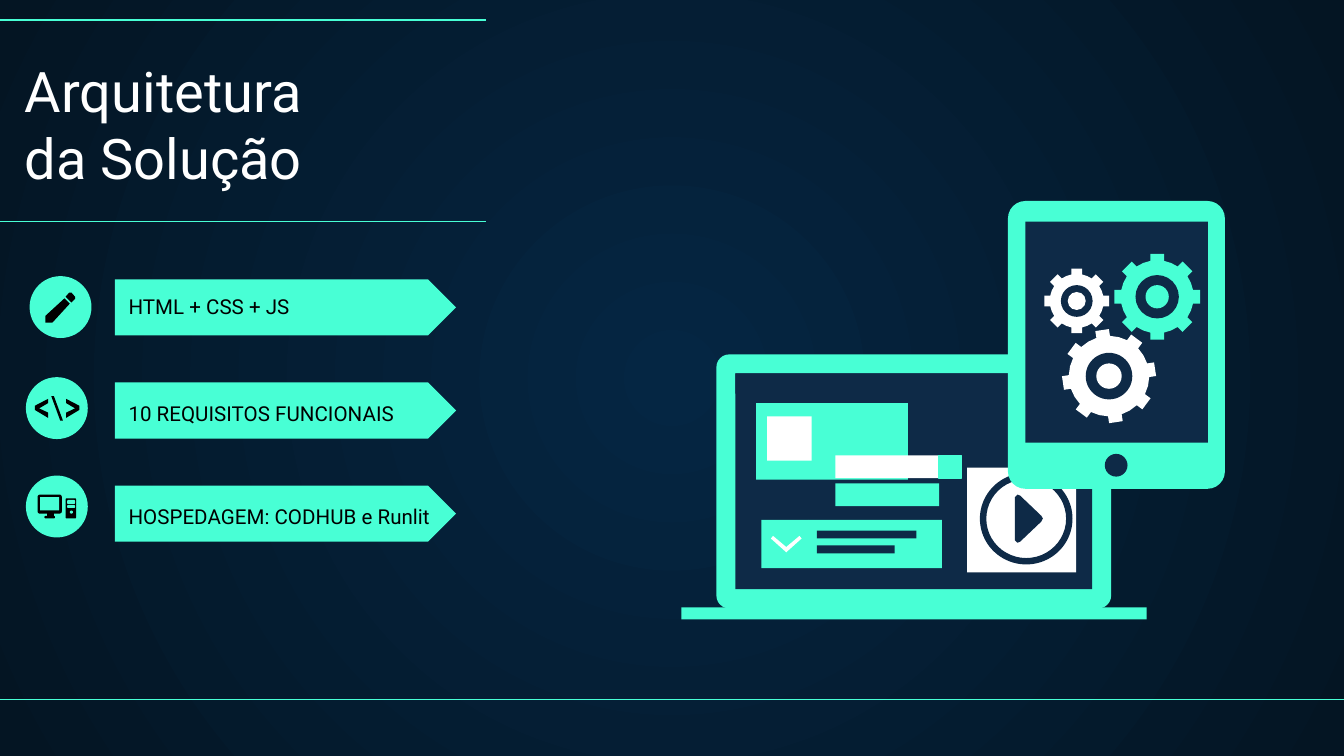
import math
from dataclasses import dataclass

import pptx
import pptx.dml.color
import pptx.enum.shapes
import pptx.enum.text
import pptx.oxml
import pptx.oxml.ns
import pptx.util
from lxml import etree

Cm = pptx.util.Cm
RGBColor = pptx.dml.color.RGBColor
SHAPE = pptx.enum.shapes.MSO_SHAPE
qn = pptx.oxml.ns.qn

MINT = RGBColor(0x48, 0xFF, 0xD5)
NAVY = RGBColor(0x0E, 0x2A, 0x47)
WHITE = RGBColor(0xFF, 0xFF, 0xFF)
BLACK = RGBColor(0x00, 0x00, 0x00)
GLOW = RGBColor(0x05, 0x26, 0x43)
NIGHT = RGBColor(0x04, 0x15, 0x23)
FONT = "Roboto"


@dataclass
class Box:
    """Position and size in centimetres."""
    left: float
    top: float
    width: float
    height: float


@dataclass
class Block:
    box: Box
    color: RGBColor
    kind: int = SHAPE.RECTANGLE
    adjustment: float | None = None


@dataclass
class Item:
    text: str
    text_box: Box
    badge: Box


@dataclass
class Gear:
    x: float
    y: float
    tip: float
    body: float
    hole: float
    hub: float
    half_tooth: float
    color: RGBColor
    turn: float = 0


def paint(shape, color: RGBColor) -> None:
    shape.shadow.inherit = False
    shape.fill.solid()
    shape.fill.fore_color.rgb = color
    shape.line.fill.background()


def add_block(slide, block: Block):
    box = block.box
    shape = slide.shapes.add_shape(
        block.kind, Cm(box.left), Cm(box.top), Cm(box.width), Cm(box.height))
    if block.adjustment is not None:
        shape.adjustments[0] = block.adjustment
    paint(shape, block.color)
    return shape


def add_disc(slide, x: float, y: float, radius: float, color: RGBColor) -> None:
    box = Box(x - radius, y - radius, 2 * radius, 2 * radius)
    add_block(slide, Block(box, color, SHAPE.OVAL))


def add_polygon(slide, points: list[tuple[float, float]], color: RGBColor) -> None:
    corners = [(Cm(x), Cm(y)) for x, y in points]
    builder = slide.shapes.build_freeform(*corners[0])
    builder.add_line_segments(corners[1:], close=True)
    paint(builder.convert_to_shape(), color)


def add_text(slide, text: str, box: Box, size: int, color: RGBColor) -> None:
    shape = slide.shapes.add_textbox(
        Cm(box.left), Cm(box.top), Cm(box.width), Cm(box.height))
    frame = shape.text_frame
    frame.word_wrap = True
    frame.vertical_anchor = pptx.enum.text.MSO_ANCHOR.BOTTOM
    frame.margin_left = frame.margin_right = Cm(0.25)
    frame.margin_top = frame.margin_bottom = Cm(0.25)
    frame.text = text
    font = frame.paragraphs[0].font
    font.name, font.size, font.color.rgb = FONT, pptx.util.Pt(size), color


def add_rule(slide, start: float, end: float, y: float) -> None:
    connector = slide.shapes.add_connector(
        pptx.enum.shapes.MSO_CONNECTOR.STRAIGHT, Cm(start), Cm(y), Cm(end), Cm(y))
    connector.line.color.rgb = MINT
    connector.line.width = pptx.util.Pt(0.75)
    etree.SubElement(connector._element.spPr, qn("a:effectLst"))


def add_gear(slide, gear: Gear, teeth: int = 8) -> None:
    step = 2 * math.pi / teeth
    foot = math.asin(gear.half_tooth / gear.body)
    corner = math.atan(gear.half_tooth / gear.tip)
    reach = math.hypot(gear.half_tooth, gear.tip)
    # Each tooth: four corners, then the middle of the arc to the next tooth
    outline = [(-foot, gear.body), (-corner, reach), (corner, reach),
               (foot, gear.body), (step / 2, gear.body)]
    points = []
    for tooth in range(teeth):
        for offset, radius in outline:
            angle = math.radians(gear.turn) + tooth * step + offset
            points.append((gear.x + radius * math.sin(angle),
                           gear.y - radius * math.cos(angle)))
    add_polygon(slide, points, gear.color)
    add_disc(slide, gear.x, gear.y, gear.hole, NAVY)
    add_disc(slide, gear.x, gear.y, gear.hub, gear.color)


def set_background(slide) -> None:
    fill = slide.background.fill
    fill.gradient()
    for stop, position, color in zip(fill.gradient_stops, (0, 1), (GLOW, NIGHT)):
        stop.position, stop.color.rgb = position, color
    gradient = slide._element.find(".//" + qn("a:gradFill"))
    radial = pptx.oxml.parse_xml(
        f'<a:path {pptx.oxml.ns.nsdecls("a")} path="circle">'
        '<a:fillToRect l="50000" t="50000" r="50000" b="50000"/></a:path>')
    gradient.replace(gradient.find(qn("a:lin")), radial)


ITEMS = [
    Item("HTML + CSS + JS", Box(2.18, 5.34, 6.17, 0.91), Box(0.56, 5.22, 1.17, 1.17)),
    Item("10 REQUISITOS FUNCIONAIS", Box(2.18, 7.24, 5.77, 1.04), Box(0.49, 7.13, 1.17, 1.17)),
    Item("HOSPEDAGEM: CODHUB e Runlit", Box(2.18, 9.16, 6.32, 1.07), Box(0.49, 8.99, 1.17, 1.17)),
]

PENCIL = [
    [(1.31, 5.53), (1.24, 5.61), (1.35, 5.72), (1.42, 5.65), (1.42, 5.61), (1.35, 5.53)],
    [(1.22, 5.64), (0.86, 5.97), (0.86, 6.1), (0.99, 6.1), (1.32, 5.74)],
]
CHEVRON = [(0.91, 7.9), (0.66, 7.75), (0.66, 7.67), (0.91, 7.54),
           (0.91, 7.62), (0.74, 7.72), (0.91, 7.8)]
CODE = [CHEVRON, [(1.14, 7.95), (0.97, 7.49), (1.02, 7.49), (1.19, 7.95)],
        [(2.16 - x, y) for x, y in CHEVRON]]
COMPUTER = [
    Block(Box(0.71, 9.35, 0.46, 0.36), BLACK, SHAPE.ROUNDED_RECTANGLE, 0.12),
    Block(Box(0.76, 9.4, 0.36, 0.25), MINT),
    Block(Box(0.89, 9.7, 0.13, 0.07), BLACK),
    Block(Box(0.84, 9.75, 0.2, 0.05), BLACK, SHAPE.ROUNDED_RECTANGLE, 0.5),
    Block(Box(1.24, 9.42, 0.2, 0.38), BLACK, SHAPE.ROUNDED_RECTANGLE, 0.12),
    Block(Box(1.27, 9.45, 0.15, 0.08), MINT, SHAPE.ROUNDED_RECTANGLE, 0.3),
    Block(Box(1.27, 9.55, 0.15, 0.05), MINT, SHAPE.ROUNDED_RECTANGLE, 0.3),
    Block(Box(1.32, 9.65, 0.06, 0.06), MINT, SHAPE.OVAL),
]
LAPTOP = [
    Block(Box(13.54, 6.7, 7.46, 4.8), MINT, SHAPE.ROUNDED_RECTANGLE, 0.05),
    Block(Box(13.9, 7.06, 6.74, 4.08), NAVY),
    Block(Box(12.88, 11.48, 8.79, 0.23), MINT),
    Block(Box(13.9, 7.06, 6.74, 0.38), NAVY),
    Block(Box(14.29, 7.62, 2.87, 1.45), MINT),
    Block(Box(14.5, 7.87, 0.84, 0.84), WHITE),
    Block(Box(15.29, 9.83, 2.51, 0.91), MINT),
    Block(Box(15.44, 10.03, 1.88, 0.15), NAVY),
    Block(Box(15.44, 10.31, 1.47, 0.15), NAVY),
    Block(Box(14.39, 9.83, 0.9, 0.91), MINT),
    Block(Box(15.79, 9.14, 1.96, 0.43), MINT),
    Block(Box(15.79, 8.61, 1.96, 0.43), WHITE),
    Block(Box(18.28, 8.84, 2.06, 1.98), WHITE),
    Block(Box(18.52, 8.94, 1.75, 1.73), NAVY, SHAPE.DONUT, 0.07),
]
SEARCH_BUTTON = Block(Box(17.74, 8.61, 0.43, 0.43), MINT)
CHECK = [(15.11, 10.13), (14.86, 10.34), (14.61, 10.13), (14.57, 10.18),
         (14.86, 10.44), (15.15, 10.18)]
PLAY = [(19.23, 9.35), (19.18, 9.4), (19.18, 10.21), (19.23, 10.26), (19.28, 10.24),
        (19.68, 9.86), (19.71, 9.8), (19.68, 9.75), (19.28, 9.37)]
TABLET = [
    Block(Box(19.05, 3.8, 4.1, 5.44), MINT, SHAPE.ROUNDED_RECTANGLE, 0.08),
    Block(Box(19.38, 4.19, 3.45, 4.18), NAVY),
    Block(Box(20.88, 8.58, 0.43, 0.43), NAVY, SHAPE.OVAL),
]
GEARS = [
    Gear(21.87, 5.61, 0.81, 0.69, 0.41, 0.22, 0.13, MINT),
    Gear(20.35, 5.69, 0.61, 0.51, 0.3, 0.17, 0.1, WHITE),
    Gear(20.96, 7.11, 0.88, 0.76, 0.44, 0.24, 0.13, WHITE, -8.5),
]
RULES = [(-0.08, 9.19, 0.38), (-0.08, 9.19, 4.19), (-0.51, 23.16, 13.22), (6.45, 30.12, 13.22)]


def main() -> None:
    presentation = pptx.Presentation()
    presentation.slide_width, presentation.slide_height = Cm(25.4), Cm(14.29)
    slide = presentation.slides.add_slide(presentation.slide_layouts[6])
    set_background(slide)

    # Title and list
    add_text(slide, "Arquitetura\vda Solução", Box(0.22, 1.09, 6.25, 2.77), 30, WHITE)
    for index, item in enumerate(ITEMS):
        arrow = Box(2.17, 5.28 + 1.95 * index, 6.45, 1.06)
        add_block(slide, Block(arrow, MINT, SHAPE.PENTAGON, 0.5))
        add_text(slide, item.text, item.text_box, 11, BLACK)
        add_block(slide, Block(item.badge, MINT, SHAPE.OVAL))

    # Badge icons
    for points in PENCIL + CODE:
        add_polygon(slide, points, BLACK)

    # Computer badge, laptop and tablet
    for block in COMPUTER + LAPTOP:
        add_block(slide, block)
    button = add_block(slide, SEARCH_BUTTON)
    button.line.color.rgb = MINT
    button.line.width = pptx.util.Pt(0.75)
    add_polygon(slide, CHECK, WHITE)
    add_polygon(slide, PLAY, NAVY)
    for block in TABLET:
        add_block(slide, block)
    for gear in GEARS:
        add_gear(slide, gear)

    # Rules
    for start, end, y in RULES:
        add_rule(slide, start, end, y)

    presentation.save("out.pptx")


if __name__ == "__main__":
    main()
